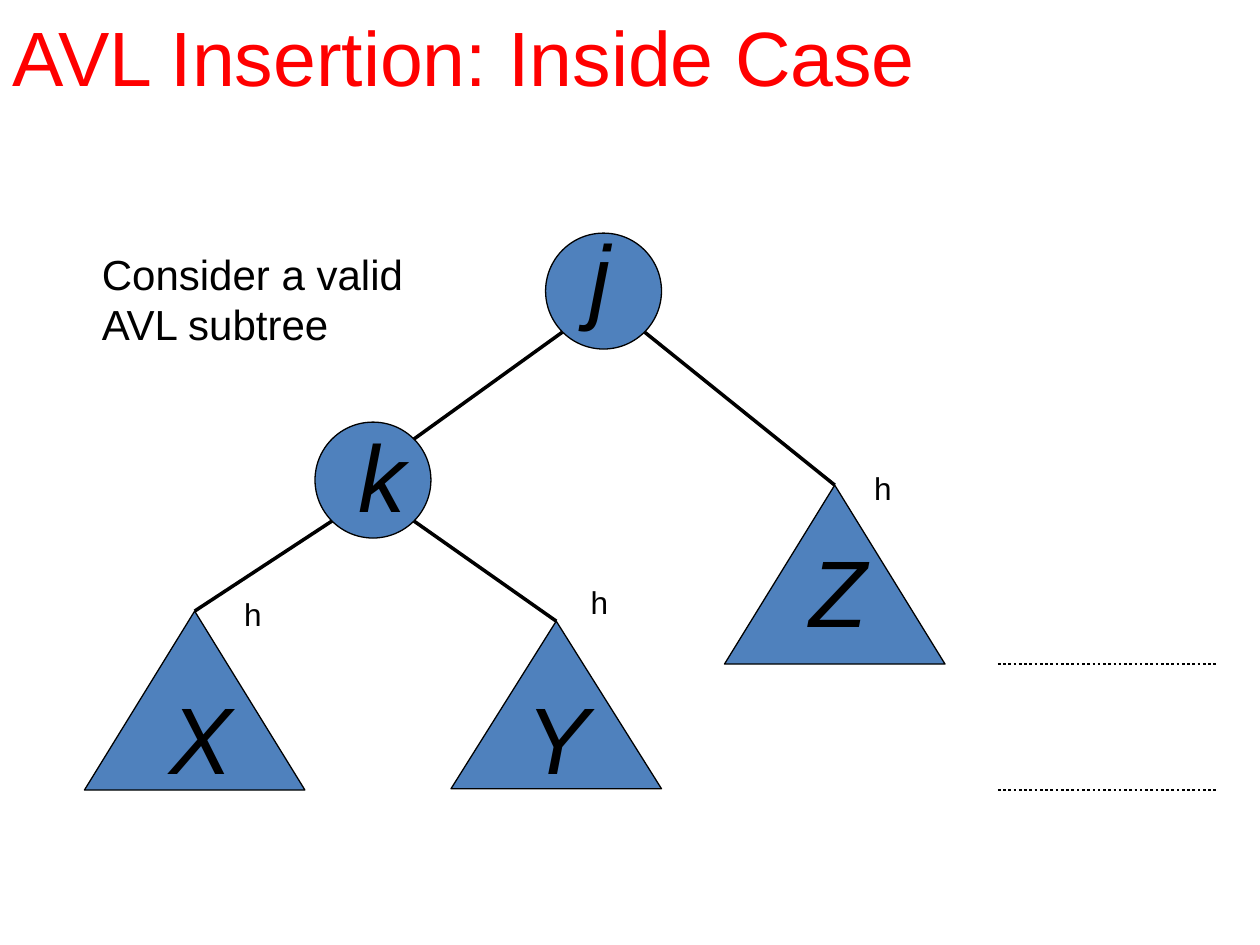
from dataclasses import dataclass
from math import sqrt

from lxml.etree import SubElement
from pptx import Presentation
from pptx.dml.color import RGBColor
from pptx.enum.dml import MSO_LINE
from pptx.enum.shapes import MSO_CONNECTOR, MSO_SHAPE
from pptx.enum.text import MSO_ANCHOR, MSO_AUTO_SIZE
from pptx.oxml.ns import qn
from pptx.util import Inches, Pt


@dataclass(frozen=True)
class Theme:
    font: str = "Arial"
    ink: RGBColor = RGBColor(0, 0, 0)
    title: RGBColor = RGBColor(255, 0, 0)
    node: RGBColor = RGBColor(0x4F, 0x81, 0xBD)
    title_size: int = 44
    name_size: int = 54
    note_size: int = 24
    height_size: int = 18
    outline: float = 0.75
    edge: float = 2
    level: float = 1.5


THEME = Theme()
NODE_SIZE = 0.92


def add_text(slide, text, left, top, width, height, size,
             color=THEME.ink, italic=False, wrap=True):
    box = slide.shapes.add_textbox(
        Inches(left), Inches(top), Inches(width), Inches(height))
    frame = box.text_frame
    frame.text = text
    frame.word_wrap = wrap
    for paragraph in frame.paragraphs:
        font = paragraph.runs[0].font
        font.name = THEME.font
        font.size = Pt(size)
        font.italic = italic
        font.color.rgb = color
    return frame


def add_line(slide, start, end, width, dash=None):
    line = slide.shapes.add_connector(
        MSO_CONNECTOR.STRAIGHT, *(Inches(v) for v in (*start, *end)))
    line.line.color.rgb = THEME.ink
    line.line.width = Pt(width)
    if dash is not None:
        line.line.dash_style = dash
    SubElement(line._element.spPr, qn("a:effectLst"))


def add_tree_part(slide, preset, left, top, width, height, name, name_at):
    """Add a filled node or subtree with its large italic name."""
    part = slide.shapes.add_shape(
        preset, Inches(left), Inches(top), Inches(width), Inches(height))
    part.shadow.inherit = False
    part.fill.solid()
    part.fill.fore_color.rgb = THEME.node
    part.line.color.rgb = THEME.ink
    part.line.width = Pt(THEME.outline)
    frame = add_text(slide, name, *name_at, 0.56, 1, THEME.name_size, italic=True)
    frame.auto_size = MSO_AUTO_SIZE.SHAPE_TO_FIT_TEXT


def add_node(slide, name, left, top, name_at):
    """Add a round node; return its upper right, lower left and lower right points."""
    add_tree_part(slide, MSO_SHAPE.OVAL, left, top, NODE_SIZE, NODE_SIZE,
                  name, name_at)
    radius = NODE_SIZE / 2
    x, y, reach = left + radius, top + radius, radius / sqrt(2)
    return (x + reach, y - reach), (x - reach, y + reach), (x + reach, y + reach)


def add_subtree(slide, name, left, top, width, height, name_at, height_at):
    """Add a triangle with its name and height label; return its apex."""
    add_tree_part(slide, MSO_SHAPE.ISOSCELES_TRIANGLE, left, top, width, height,
                  name, name_at)
    frame = add_text(slide, "h", *height_at, 0.34, 0.4,
                     THEME.height_size, wrap=False)
    frame.auto_size = MSO_AUTO_SIZE.SHAPE_TO_FIT_TEXT
    return left + width / 2, top


def add_tree(slide):
    _, j_left, j_right = add_node(slide, "j", 4.33, 1.85, (4.58, 1.68))
    k_top, k_left, k_right = add_node(slide, "k", 2.5, 3.35, (2.75, 3.27))
    x_apex = add_subtree(slide, "X", 0.67, 4.85, 1.75, 1.42,
                         (1.25, 5.35), (1.84, 4.67))
    y_apex = add_subtree(slide, "Y", 3.58, 4.93, 1.67, 1.33,
                         (4.08, 5.35), (4.59, 4.58))
    z_apex = add_subtree(slide, "Z", 5.75, 3.85, 1.75, 1.42,
                         (6.33, 4.18), (6.84, 3.67))
    edges = ((j_left, k_top), (k_left, x_apex),
             (k_right, y_apex), (j_right, z_apex))
    for parent, child in edges:
        add_line(slide, parent, child, THEME.edge)


def main():
    prs = Presentation()
    prs.slide_width, prs.slide_height = Inches(10), Inches(7.5)
    slide = prs.slides.add_slide(prs.slide_layouts[6])

    add_tree(slide)
    for level in (5.27, 6.27):
        add_line(slide, (7.92, level), (9.67, level), THEME.level,
                 MSO_LINE.ROUND_DOT)
    title = add_text(slide, "AVL Insertion: Inside Case", 0, 0, 8.55, 0.88,
                     THEME.title_size, THEME.title)
    title.vertical_anchor = MSO_ANCHOR.MIDDLE
    note = add_text(slide, "Consider a valid\nAVL subtree", 0.71, 1.92, 2.59, 0.9,
                    THEME.note_size, wrap=False)
    note.auto_size = MSO_AUTO_SIZE.SHAPE_TO_FIT_TEXT

    prs.save("out.pptx")


if __name__ == "__main__":
    main()
